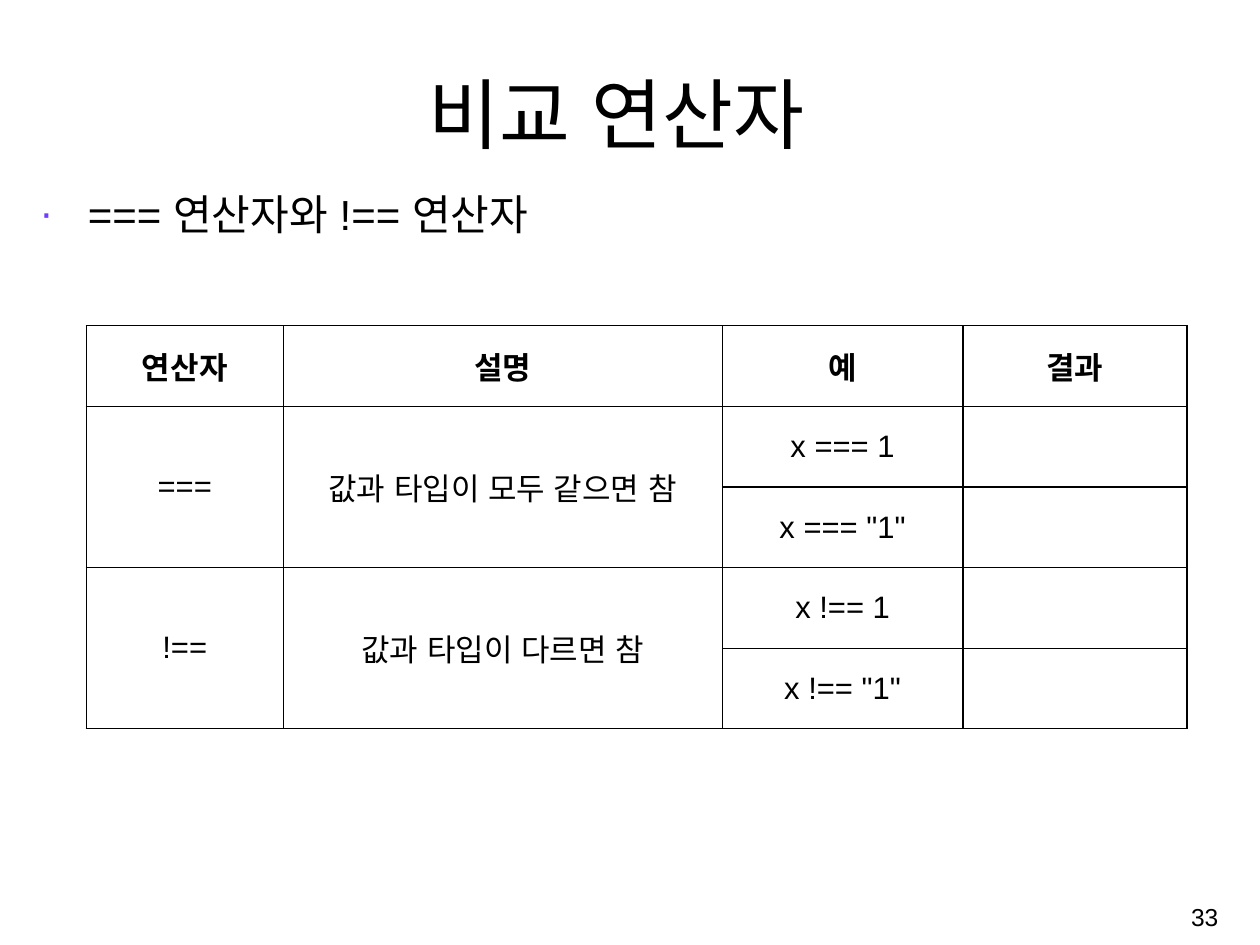
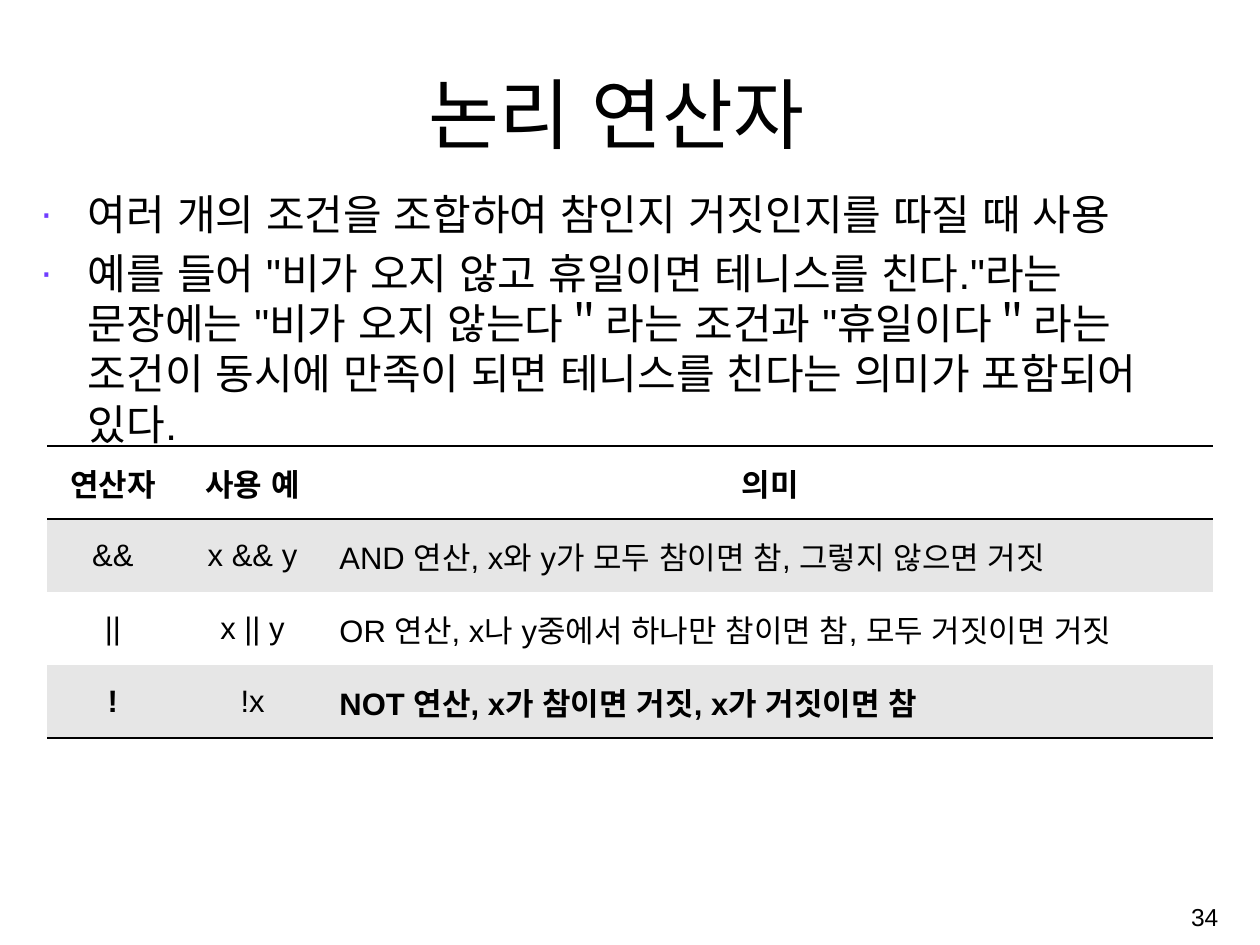
from lxml.etree import SubElement
from pptx import Presentation
from pptx.dml.color import RGBColor
from pptx.enum.lang import MSO_LANGUAGE_ID as Lang
from pptx.enum.text import MSO_ANCHOR as Anchor, MSO_AUTO_SIZE as AutoSize, PP_ALIGN as Align
from pptx.oxml.ns import qn
from pptx.util import Cm, Pt


def rgb(value):
    return RGBColor.from_string(value)


def write(p, text, size, color="000000", bold=False, align=Align.LEFT, font="Arial"):
    p.alignment = align
    r = p.add_run()
    r.text = text
    r.font.name = font
    r.font.size = Pt(size)
    r.font.bold = bold
    r.font.color.rgb = rgb(color)
    r.font.language_id = Lang.KOREAN


def set_bullet(p, char, color, indent):
    pPr = p._p.get_or_add_pPr()
    pPr.set("marL", str(indent))
    pPr.set("indent", str(-indent))
    clr = SubElement(pPr, qn("a:buClr"))
    SubElement(clr, qn("a:srgbClr"), val=color)
    SubElement(pPr, qn("a:buFont"), typeface="Arial")
    SubElement(pPr, qn("a:buChar"), char=char)


def set_borders(cell, widths, color="000000"):
    tcPr = cell._tc.get_or_add_tcPr()
    for side in "LRTB":
        width = widths.get(side, 0)
        ln = SubElement(tcPr, qn(f"a:ln{side}"), w=str(Pt(width)))
        if width:
            fill = SubElement(ln, qn("a:solidFill"))
            SubElement(fill, qn("a:srgbClr"), val=color)
        else:
            SubElement(ln, qn("a:noFill"))


class Deck:
    ACCENT = "703DFF"
    WHITE = "FFFFFF"
    BAND = "E6E6E6"
    TITLE_SIZE, BODY_SIZE, TABLE_SIZE, NUMBER_SIZE = 57.2, 31.2, 23, 18.2

    def __init__(self):
        self.prs = Presentation()
        self.prs.slide_width = Cm(33)
        self.prs.slide_height = Cm(24.74)
        self.s = None

    def place(self, sp, left, top, width, height, anchor):
        sp.left, sp.top, sp.width, sp.height = map(Cm, (left, top, width, height))
        tf = sp.text_frame
        tf.word_wrap = True
        tf.auto_size = AutoSize.NONE
        tf.vertical_anchor = anchor
        return tf

    def slide(self, title, bullets, number):
        self.s = self.prs.slides.add_slide(self.prs.slide_layouts[1])
        self.title(title)
        self.bullets(bullets)
        self.number(number)

    def title(self, text):
        tf = self.place(self.s.shapes.title, 2.67, 1.55, 26.95, 2.74, Anchor.BOTTOM)
        write(tf.paragraphs[0], text, self.TITLE_SIZE, align=Align.CENTER)

    def bullets(self, items):
        tf = self.place(self.s.placeholders[1], 0.81, 4.8, 31.29, 17.93, Anchor.TOP)
        for i, text in enumerate(items):
            p = tf.add_paragraph() if i else tf.paragraphs[0]
            p.space_before = Pt(6.2 if i else 0)
            set_bullet(p, "∙", self.ACCENT, Cm(1.24))
            write(p, text, self.BODY_SIZE)

    def number(self, value):
        sp = self.s.shapes.add_textbox(0, 0, 0, 0)
        tf = self.place(sp, 25.35, 23.24, 6.81, 1.52, Anchor.MIDDLE)
        write(tf.paragraphs[0], str(value), self.NUMBER_SIZE, align=Align.RIGHT)

    def table(self, left, top, col_widths, row_height, rows):
        frame = self.s.shapes.add_table(
            len(rows), len(col_widths), Cm(left), Cm(top),
            Cm(sum(col_widths)), Cm(row_height * len(rows)))
        table = frame.table
        table.first_row = table.horz_banding = False
        for col, width in zip(table.columns, col_widths):
            col.width = Cm(width)
        for row in table.rows:
            row.height = Cm(row_height)
        return table

    def cell(self, cell, text, borders, fill=None, bold=False, align=Align.CENTER):
        cell.vertical_anchor = Anchor.MIDDLE
        cell.margin_left = cell.margin_right = Cm(0.33)
        cell.margin_top = cell.margin_bottom = Cm(0.16)
        set_borders(cell, borders)
        if fill:
            cell.fill.solid()
            cell.fill.fore_color.rgb = rgb(fill)
        else:
            cell.fill.background()
        if text:
            write(cell.text_frame.paragraphs[0], text, self.TABLE_SIZE, bold=bold, align=align)

    def grid_table(self, left, top, col_widths, row_height, rows, merges):
        table = self.table(left, top, col_widths, row_height, rows)
        for i, row in enumerate(rows):
            for j, text in enumerate(row):
                self.cell(table.cell(i, j), text, dict.fromkeys("LRTB", 1), bold=i == 0)
        for i, j in merges:
            table.cell(i, j).merge(table.cell(i + 1, j))

    def banded_table(self, left, top, col_widths, row_height, rows, bold_cells):
        table = self.table(left, top, col_widths, row_height, rows)
        last = len(rows) - 1
        for i, row in enumerate(rows):
            borders = {0: {"T": 2, "B": 2}, 1: {"T": 2}, last: {"B": 2}}.get(i, {})
            for j, text in enumerate(row):
                self.cell(
                    table.cell(i, j), text, borders,
                    fill=self.BAND if i % 2 else self.WHITE,
                    bold=i == 0 or (i, j) in bold_cells,
                    align=Align.LEFT if i and j == 2 else Align.CENTER)


def main():
    deck = Deck()

    deck.slide("비교 연산자", ["=== 연산자와 !== 연산자"], 33)
    deck.grid_table(2.26, 8.53, [5.16, 11.5, 6.3, 5.87], 2.11, [
        ["연산자", "설명", "예", "결과"],
        ["===", "값과 타입이 모두 같으면 참", "x === 1", ""],
        ["", "", 'x === "1"', ""],
        ["!==", "값과 타입이 다르면 참", "x !== 1", ""],
        ["", "", 'x !== "1"', ""],
    ], merges=[(1, 0), (1, 1), (3, 0), (3, 1)])

    deck.slide("논리 연산자", [
        "여러 개의 조건을 조합하여 참인지 거짓인지를 따질 때 사용",
        '예를 들어 "비가 오지 않고 휴일이면 테니스를 친다."라는 문장에는 '
        '"비가 오지 않는다＂라는 조건과 "휴일이다＂라는 조건이 동시에 '
        '만족이 되면 테니스를 친다는 의미가 포함되어 있다.',
    ], 34)
    deck.banded_table(1.24, 11.68, [3.43, 3.89, 23.22], 1.91, [
        ["연산자", "사용 예", "의미"],
        ["&&", "x && y", "AND 연산, x와 y가 모두 참이면 참, 그렇지 않으면 거짓"],
        ["||", "x || y", "OR 연산, x나 y중에서 하나만 참이면 참, 모두 거짓이면 거짓"],
        ["!", "!x", "NOT 연산, x가 참이면 거짓, x가 거짓이면 참"],
    ], bold_cells=[(3, 0), (3, 2)])

    deck.prs.save("out.pptx")


if __name__ == "__main__":
    main()
